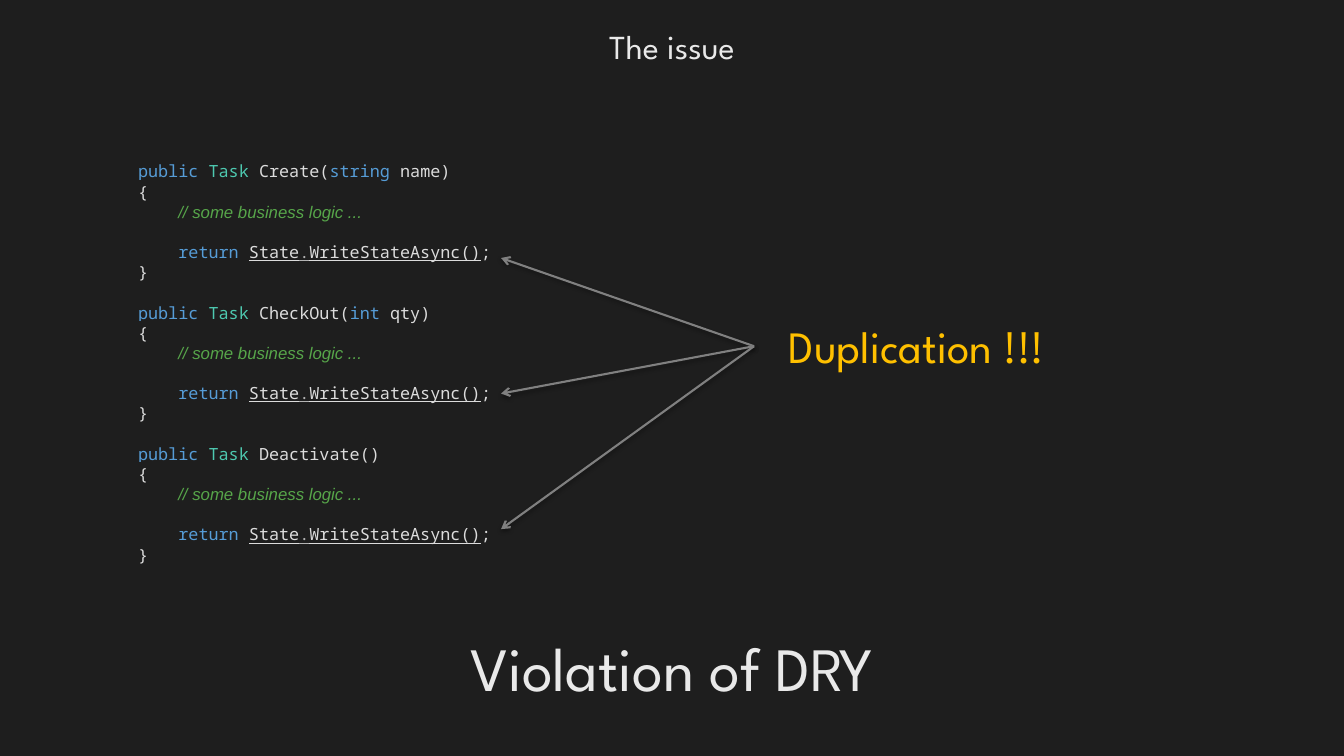
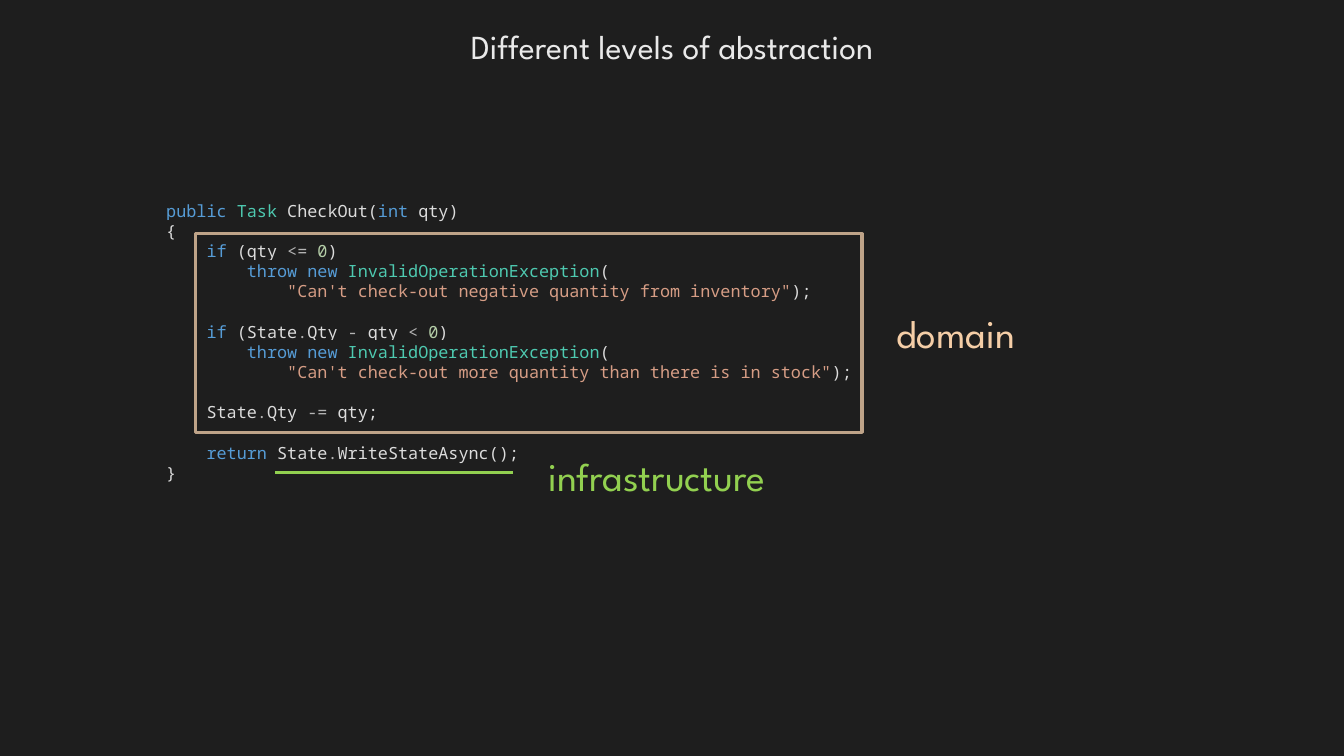
from lxml import etree
from pptx import Presentation
from pptx.dml.color import RGBColor
from pptx.enum.shapes import MSO_CONNECTOR, MSO_SHAPE
from pptx.enum.text import MSO_ANCHOR, PP_ALIGN
from pptx.oxml.ns import qn
from pptx.util import Inches, Pt

LINE, RECT = MSO_CONNECTOR.STRAIGHT, MSO_SHAPE.RECTANGLE
TOP, MID = MSO_ANCHOR.TOP, PP_ALIGN.CENTER
WIDE, HIGH = Inches(13.33), Inches(7.5)
STEP, PITCH = Inches(0.1), Pt(14.4)
SANS, MONO, SLANT = "League Spartan", "Noto Sans Mono", "Arial"

DARK = RGBColor(0x1E, 0x1E, 0x1E)
LIGHT = RGBColor(0xE9, 0xE9, 0xE9)
PLAIN = RGBColor(0xDC, 0xDC, 0xDC)
SIGN = RGBColor(0xB4, 0xB4, 0xB4)
BLUE = RGBColor(0x56, 0x9C, 0xD6)
TEAL = RGBColor(0x4E, 0xC9, 0xB0)
GREEN = RGBColor(0x57, 0xA6, 0x4A)
MINT = RGBColor(0xB5, 0xCE, 0xA8)
RUST = RGBColor(0xD6, 0x9D, 0x85)
GOLD = RGBColor(0xFF, 0xC0, 0x00)
GREY = RGBColor(0x80, 0x80, 0x80)
TAN = RGBColor(0xBE, 0xA3, 0x88)
PEACH = RGBColor(0xF5, 0xCE, 0xA7)
LIME = RGBColor(0x92, 0xD0, 0x50)

WORDS = {
    **dict.fromkeys(["public", "string", "int", "return", "if", "throw", "new"], BLUE),
    **dict.fromkeys(["Task", "InvalidOperationException"], TEAL),
    **dict.fromkeys([".", "<=", "<", "-", "-="], SIGN),
    "0": MINT,
}
CALL = {"State", ".", "WriteStateAsync()"}

HEADS = ["Create(|string| name)", "CheckOut(|int| qty)", "Deactivate()"]
METHOD = """public| |Task| |{}
{{
    // some business logic ...

    return| |State|.|WriteStateAsync()|;
}}"""
CHECK = """public| |Task| |CheckOut(|int| qty)
{
    if| (qty |<=| |0|)
        throw| |new| |InvalidOperationException|(
            "Can't check-out negative quantity from inventory"|);

    if| (State|.|Qty |-| qty |<| |0|)
        throw| |new| |InvalidOperationException|(
            "Can't check-out more quantity than there is in stock"|);

    State|.|Qty |-=| qty;

    return| State|.|WriteStateAsync();
}"""


def place(x, y, w, h):
    """Turn percentages of the slide into a box of lengths."""
    return [round(n * side / 100) for n, side in zip((x, y, w, h), (WIDE, HIGH) * 2)]


def label(shape, text, size, color):
    """Write one centred line of display text."""
    frame = shape.text_frame
    frame.text, frame.word_wrap, frame.vertical_anchor = text, False, TOP
    para = frame.paragraphs[0]
    para.alignment = MID
    font = para.runs[0].font
    font.name, font.size, font.color.rgb = SANS, Pt(size), color


def note(slide, box, text, size, color):
    """Add a text box holding a label."""
    label(slide.shapes.add_textbox(*place(*box)), text, size, color)


def token(para, text, marks):
    """Add one piece of code in the colour of its kind."""
    run = para.add_run()
    run.text = text
    font, remark = run.font, text.startswith("//")
    color = GREEN if remark else RUST if text.startswith('"') else WORDS.get(text, PLAIN)
    font.size, font.color.rgb = Pt(12), color
    font.name = SLANT if remark else MONO
    if remark:
        font.italic = True
    if text in marks:
        font.underline = True
    glow = etree.Element(qn("a:highlight"))
    etree.SubElement(glow, qn("a:srgbClr"), val=str(DARK))
    run.font._element.find(qn("a:latin")).addprevious(glow)


def code(slide, box, text, marks=()):
    """Add a code listing, with indents and gaps as paragraph settings."""
    frame = slide.shapes.add_textbox(*place(*box)).text_frame
    frame.word_wrap = True
    para, gap = frame.paragraphs[0], False
    for row in text.split("\n"):
        if not row:
            gap = True
            continue
        if para.runs:
            para = frame.add_paragraph()
        para.line_spacing = PITCH
        if gap:
            para.space_before = PITCH
        gap, bare = False, row.lstrip()
        para._p.get_or_add_pPr().set("marL", str(STEP * (len(row) - len(bare))))
        for piece in bare.split("|"):
            token(para, piece, marks)


def line(slide, start, end, color, width, arrow=False):
    """Draw a line, or a shadowed arrow pointing at its start."""
    rule = slide.shapes.add_connector(LINE, *place(*start, *end))
    rule.line.color.rgb, rule.line.width = color, Pt(width)
    props = rule._element.spPr
    effect = etree.SubElement(props, qn("a:effectLst"))
    if arrow:
        etree.SubElement(props.find(qn("a:ln")), qn("a:headEnd"), type="arrow")
        shade = etree.SubElement(effect, qn("a:outerShdw"), blurRad=str(Pt(3.1)),
                                 dist=str(Pt(1.6)), dir="5400000", rotWithShape="0")
        black = etree.SubElement(shade, qn("a:srgbClr"), val="000000")
        etree.SubElement(black, qn("a:alpha"), val="38000")


def frame(slide, box, color):
    """Outline an area with an unfilled box."""
    shape = slide.shapes.add_shape(RECT, *place(*box))
    shape.shadow.inherit = False
    shape.fill.background()
    shape.line.color.rgb, shape.line.width = color, Pt(2.25)


def start(deck, text):
    """Add a slide with its title."""
    slide = deck.slides.add_slide(deck.slide_layouts[5])
    title = slide.shapes.title
    title.left, title.top, title.width, title.height = place(0, 2.8, 100, 6.67)
    label(title, text, 24, LIGHT)
    return slide


def issue(deck):
    """Build the slide on repeated code."""
    slide = start(deck, "The issue")
    text = "\n\n".join(METHOD.format(head) for head in HEADS)
    code(slide, (9.53, 20.67, 34.43, 55.2), text, CALL)
    note(slide, (56.12, 41.47, 24.23, 8.53), "Duplication !!!", 32, GOLD)
    for i in range(len(HEADS)):
        line(slide, (37.28, 34.13 + 17.93 * i), (56.11, 45.8), GREY, 1.5, True)
    note(slide, (0, 82.67, 100, 11.2), "Violation of DRY", 44, LIGHT)


def levels(deck):
    """Build the slide on mixed levels."""
    slide = start(deck, "Different levels of abstraction")
    code(slide, (11.63, 25.87, 57.46, 39.07), CHECK)
    frame(slide, (14.55, 30.93, 49.59, 26.27), TAN)
    note(slide, (64.82, 40.27, 12.6, 7.6), "domain", 28, PEACH)
    line(slide, (20.48, 62.53), (38.18, 62.53), LIME, 2)
    note(slide, (38.86, 59.2, 20.03, 7.6), "infrastructure", 28, LIME)


def main():
    """Make and save the deck."""
    deck = Presentation()
    deck.slide_width, deck.slide_height = WIDE, HIGH
    fill = deck.slide_master.background.fill
    fill.solid()
    fill.fore_color.rgb = DARK
    issue(deck)
    levels(deck)
    deck.save("out.pptx")


if __name__ == "__main__":
    main()
